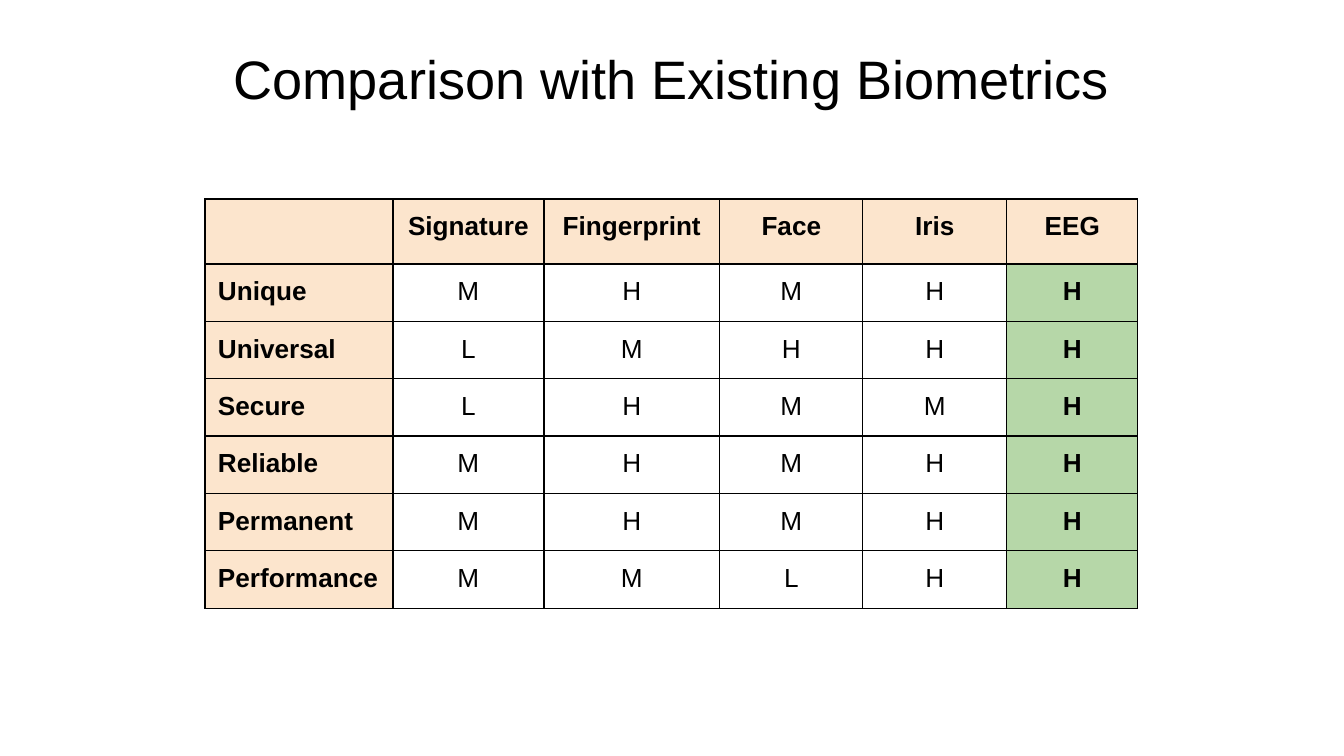
from dataclasses import dataclass

from lxml.etree import SubElement
from pptx import Presentation
from pptx.dml.color import RGBColor
from pptx.enum.text import MSO_ANCHOR, PP_ALIGN
from pptx.oxml.ns import qn
from pptx.util import Emu, Pt

SCALE = 914400 / 134.4
INSET = 13
BLACK, PEACH, GREEN = "000000", "FCE5CD", "B6D7A8"
WIDTHS = (188, 151, 176, 143, 144, 131)
HEAD, BODY = 65, 56
NAMES = ("", "Signature", "Fingerprint", "Face", "Iris", "EEG")


@dataclass
class Trait:
    name: str
    marks: str


TRAITS = (
    Trait("Unique", "MHMHH"),
    Trait("Universal", "LMHHH"),
    Trait("Secure", "LHMMH"),
    Trait("Reliable", "MHMHH"),
    Trait("Permanent", "MHMHH"),
    Trait("Performance", "MMLHH"),
)


def px(size: int) -> Emu:
    return Emu(round(size * SCALE))


def color(code: str) -> RGBColor:
    return RGBColor.from_string(code)


def style(para, size: int, bold: bool, align) -> None:
    para.alignment = align
    font = para.font
    font.name, font.size, font.bold = "Arial", Pt(size), bold
    font.color.rgb = color(BLACK)


def pad(item) -> None:
    item.margin_left = item.margin_right = px(INSET)
    item.margin_top = item.margin_bottom = px(INSET)


def border(cell) -> None:
    props = cell._tc.get_or_add_tcPr()
    for side in ("lnL", "lnR", "lnT", "lnB"):
        line = SubElement(props, qn(f"a:{side}"), w=str(Pt(0.75)))
        fill = SubElement(line, qn("a:solidFill"))
        SubElement(fill, qn("a:srgbClr"), val=BLACK)


def draw_cell(cell, text: str, fill: str | None, align) -> None:
    cell.text = text
    pad(cell)
    border(cell)
    if fill:
        cell.fill.solid()
        cell.fill.fore_color.rgb = color(fill)
    else:
        cell.fill.background()
    style(cell.text_frame.paragraphs[0], 14, bool(fill), align)


def draw_title(slide, text: str) -> None:
    frame = slide.shapes.add_textbox(px(107), px(33), px(1130), px(90)).text_frame
    frame.word_wrap = True
    frame.vertical_anchor = MSO_ANCHOR.BOTTOM
    pad(frame)
    frame.text = text
    style(frame.paragraphs[0], 29, False, PP_ALIGN.CENTER)


def draw_table(slide) -> None:
    rows = [NAMES] + [(trait.name, *trait.marks) for trait in TRAITS]
    heights = [HEAD] + [BODY] * len(TRAITS)
    table = slide.shapes.add_table(
        len(rows), len(NAMES), px(205), px(199), px(sum(WIDTHS)), px(sum(heights))
    ).table
    table.first_row = table.horz_banding = False
    for col, width in zip(table.columns, WIDTHS):
        col.width = px(width)
    for row, height in zip(table.rows, heights):
        row.height = px(height)
    last = len(NAMES) - 1
    for r, row in enumerate(rows):
        for c, text in enumerate(row):
            fill = PEACH if r == 0 or c == 0 else GREEN if c == last else None
            align = PP_ALIGN.CENTER if c else PP_ALIGN.LEFT
            draw_cell(table.cell(r, c), text, fill, align)


def main() -> None:
    deck = Presentation()
    deck.slide_width, deck.slide_height = px(1344), px(756)
    slide = deck.slides.add_slide(deck.slide_layouts[6])
    draw_title(slide, "Comparison with Existing Biometrics")
    draw_table(slide)
    deck.save("out.pptx")


if __name__ == "__main__":
    main()
